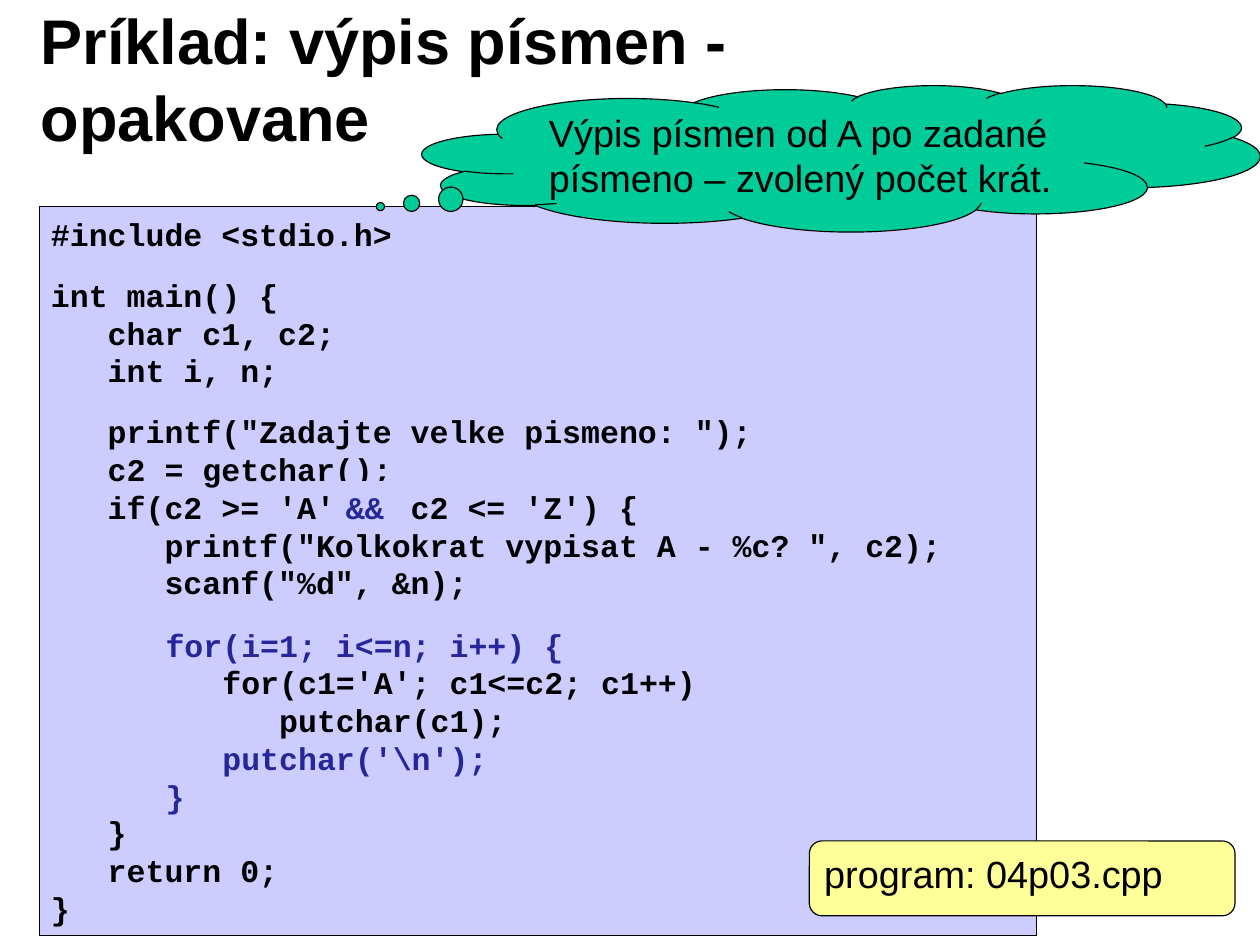
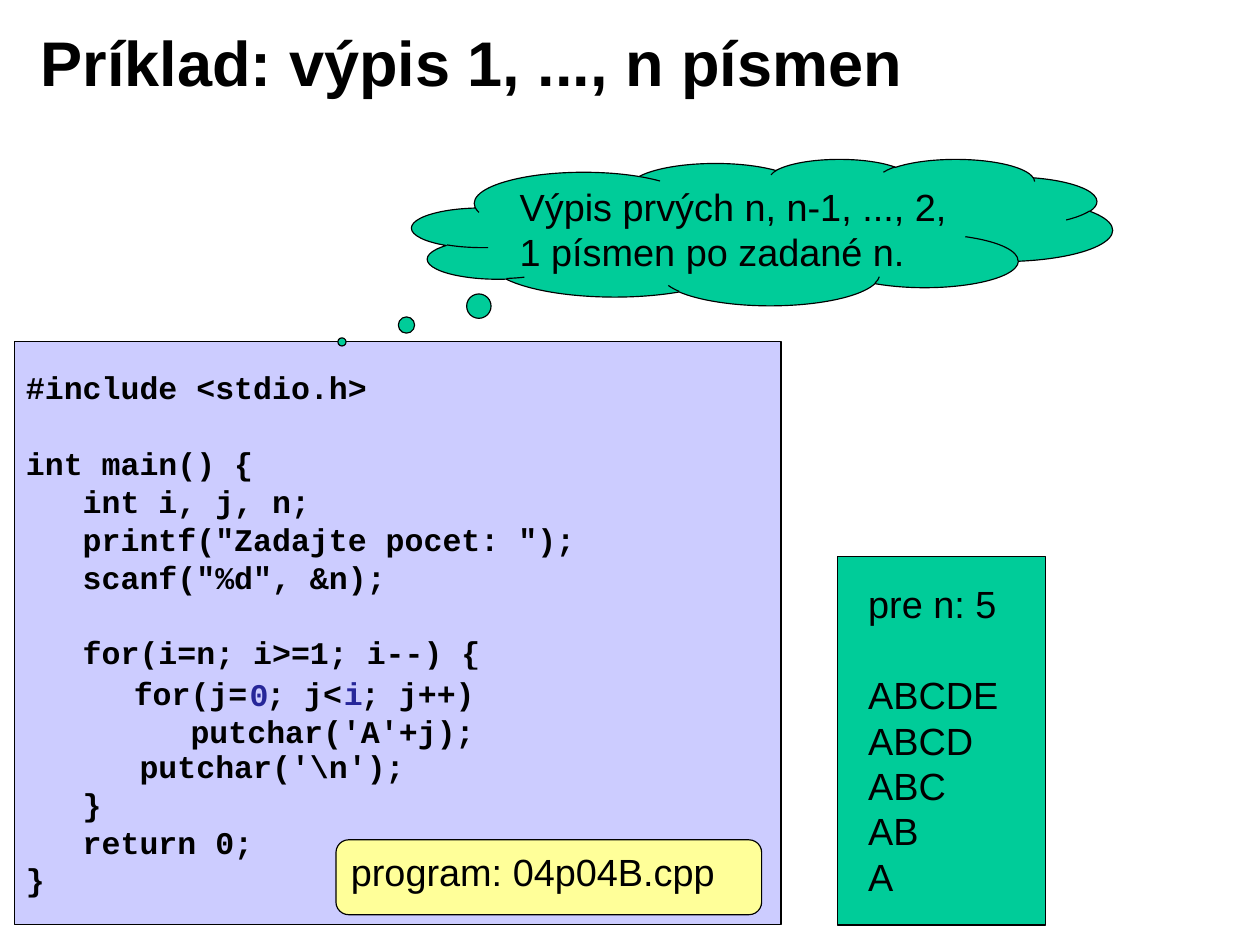
from dataclasses import dataclass
from typing import NamedTuple, Optional

from lxml.etree import SubElement as Sub
from pptx import Presentation
from pptx.dml.color import RGBColor as Rgb
from pptx.enum.shapes import MSO_SHAPE as Geo
from pptx.enum.text import MSO_ANCHOR as Anchor, PP_ALIGN as Align
from pptx.oxml.ns import qn
from pptx.util import Emu, Pt

SCALE = 9144
INK = {"black": "000000", "blue": "262699", "code": "CCCCFF",
       "cloud": "00CC99", "tag": "FFFF99", "back": "FFFFFF"}


class Style(NamedTuple):
    face: str
    size: int
    pitch: float
    bold: bool


HEAD = Style("Arial", 40, 48.5, True)
BODY = Style("Arial", 24, 28.8, False)
CODE = Style("Courier New", 20, 24, True)


class Line(NamedTuple):
    text: str
    gap: float = 0
    ink: str = "black"
    tab: int = 0


@dataclass(frozen=True)
class Box:
    x: int
    y: int
    w: int
    h: int
    lines: tuple[Line, ...] = ()
    style: Style = BODY
    geo: Optional[Geo] = None
    fill: str = ""
    edge: bool = False
    mid: bool = True
    wrap: bool = True
    adj: tuple[float, ...] = ()
    pad: tuple[int, int] = (10, 5)


def px(num: int) -> Emu:
    return Emu(num * SCALE)


def color(name: str) -> Rgb:
    return Rgb.from_string(INK[name])


def write(para, line: Line, style: Style) -> None:
    para.alignment = Align.LEFT
    para.line_spacing = Pt(style.pitch)
    para.space_before = Pt(line.gap)
    if line.tab:
        tabs = Sub(para._p.get_or_add_pPr(), qn("a:tabLst"))
        Sub(tabs, qn("a:tab"), pos=str(px(line.tab)), algn="l")
    para.add_run().text = line.text
    font = para.font
    font.name, font.size, font.bold = style.face, Pt(style.size), style.bold
    font.color.rgb = color(line.ink)


def draw(slide, box: Box) -> None:
    area = [px(n) for n in (box.x, box.y, box.w, box.h)]
    if box.geo is None:
        shape = slide.shapes.add_textbox(*area)
    else:
        shape = slide.shapes.add_shape(box.geo, *area)
        shape.shadow.inherit = False
        shape.fill.solid()
        shape.fill.fore_color.rgb = color(box.fill)
        if box.edge:
            shape.line.color.rgb = color("black")
            shape.line.width = Pt(0.75)
        else:
            shape.line.fill.background()
        for i, val in enumerate(box.adj):
            shape.adjustments[i] = val
    frame = shape.text_frame
    frame.word_wrap = box.wrap
    frame.vertical_anchor = Anchor.MIDDLE if box.mid else Anchor.TOP
    frame.margin_left = frame.margin_right = px(box.pad[0])
    frame.margin_top = frame.margin_bottom = px(box.pad[1])
    for i, line in enumerate(box.lines):
        write(frame.add_paragraph() if i else frame.paragraphs[0], line, box.style)


def title(y: int, text: str) -> Box:
    return Box(25, y, 892, 102, (Line(text),), HEAD, pad=(11, 6))


def code(x: int, y: int, w: int, h: int, *lines: Line, edge: bool = False) -> Box:
    return Box(x, y, w, h, lines, CODE, Geo.RECTANGLE, "code", edge, wrap=False)


def cloud(x: int, y: int, w: int, text: str, *adj: float) -> Box:
    return Box(x, y, w, 129, (Line(text),), geo=Geo.CLOUD_CALLOUT,
               fill="cloud", edge=True, adj=adj)


def tag(x: int, y: int, text: str) -> Box:
    return Box(x, y, 375, 66, (Line(text),), geo=Geo.ROUNDED_RECTANGLE,
               fill="tag", edge=True, mid=False, adj=(0.17,))


def mark(x: int, y: int, text: str) -> Box:
    return Box(x, y, 25, 25, (Line(text, ink="blue"),), CODE, wrap=False)


HALF, FULL = 14.4, CODE.pitch

REPEAT = (
    title(17, "Príklad: výpis písmen - opakovane"),
    code(35, 182, 878, 642,
         Line("#include <stdio.h>"),
         Line("int main() {", HALF),
         Line("   char c1, c2;"),
         Line("   int i, n;"),
         Line('   printf("Zadajte velke pismeno: ");', HALF),
         Line("   c2 = getchar();"),
         Line("   if(c2 >= 'A'\tc2 <= 'Z') {", tab=317),
         Line('      printf("Kolkokrat vypisat A - %c? ", c2);'),
         Line('      scanf("%d", &n);'),
         Line("   }", HALF + 5 * FULL),
         Line("   return 0;"),
         Line("}"), edge=True),
    code(295, 424, 46, 45, Line("&&", ink="blue")),
    cloud(372, 75, 738, "Výpis písmen od A po zadané písmeno – zvolený počet krát.",
          -0.55, 0.33),
    code(136, 547, 505, 175,
         Line("for(i=1; i<=n; i++) {", ink="blue"),
         Line("   for(c1='A'; c1<=c2; c1++)"),
         Line("      putchar(c1);"),
         Line("   putchar('\\n');", ink="blue"),
         Line("}", ink="blue")),
    tag(713, 741, "program: 04p03.cpp"),
)

COUNT = (
    title(3, "Príklad: výpis 1, ..., n písmen"),
    code(13, 301, 675, 514,
         Line("#include <stdio.h>"),
         Line("int main() {", FULL),
         Line("   int i, j, n;"),
         Line('   printf("Zadajte pocet: ");'),
         Line('   scanf("%d", &n);'),
         Line("   for(i=n; i>=1; i--) {", FULL),
         Line("      putchar('\\n');", 2 * FULL),
         Line("   }"),
         Line("   return 0;"),
         Line("}"), edge=True),
    cloud(363, 140, 617, "Výpis prvých n, n-1, ..., 2, 1 písmen po zadané n.",
          -0.6, 0.75),
    code(108, 590, 319, 75,
         Line("for(j= ; j< ; j++)"),
         Line("   putchar('A'+j);")),
    mark(210, 599, "0"),
    mark(293, 598, "i"),
    Box(738, 490, 183, 325, geo=Geo.RECTANGLE, fill="cloud", edge=True),
    Box(755, 507, 167, 297,
        (Line("pre n: 5"), Line("ABCDE", BODY.pitch),
         *(Line("ABCD"[:n]) for n in range(4, 0, -1))), mid=False),
    tag(296, 740, "program: 04p04B.cpp"),
)


def main() -> None:
    deck = Presentation()
    deck.slide_width, deck.slide_height = px(1110), px(830)
    for boxes in (REPEAT, COUNT):
        slide = deck.slides.add_slide(deck.slide_layouts[6])
        slide.background.fill.solid()
        slide.background.fill.fore_color.rgb = color("back")
        for box in boxes:
            draw(slide, box)
    deck.save("out.pptx")


if __name__ == "__main__":
    main()
